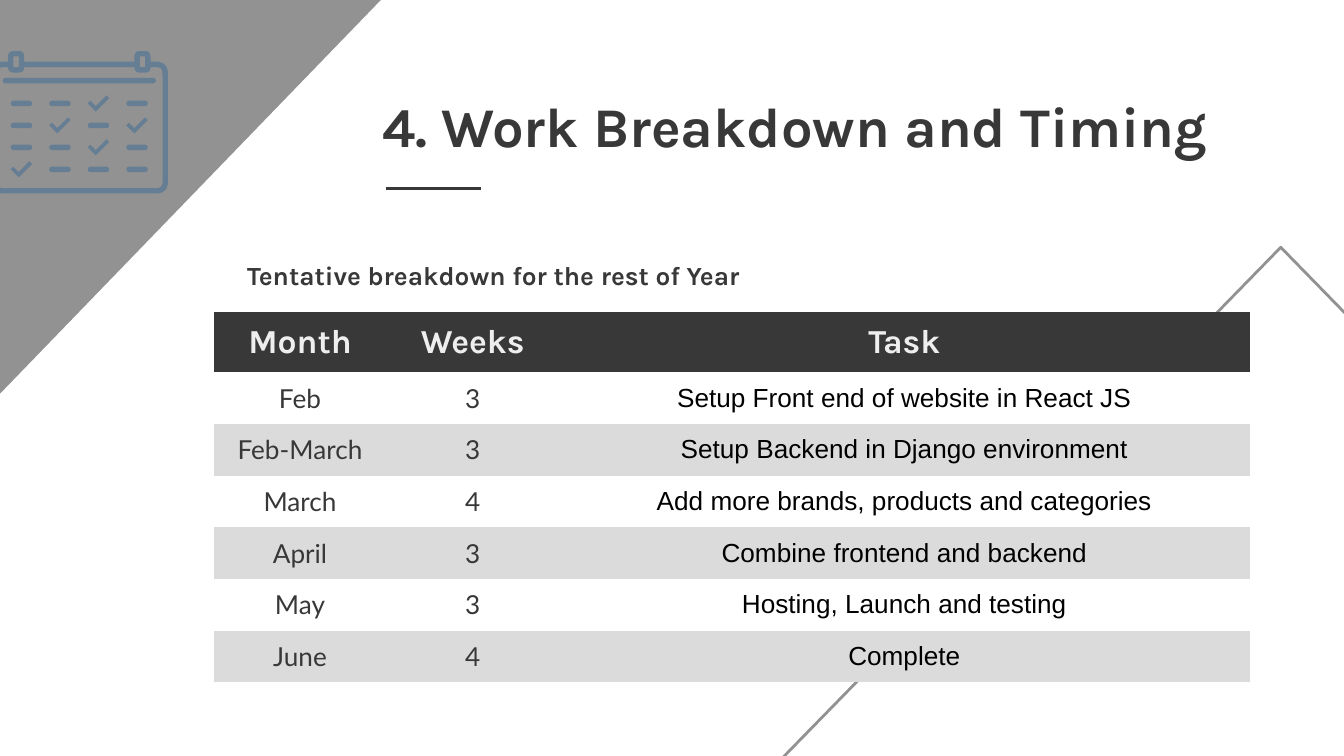
from dataclasses import dataclass
from pptx import Presentation
from pptx.dml.color import RGBColor
from pptx.enum.shapes import MSO_CONNECTOR, MSO_SHAPE
from pptx.enum.text import MSO_ANCHOR, PP_ALIGN
from pptx.oxml.ns import qn
from pptx.util import Inches, Pt
from lxml.etree import SubElement


@dataclass(frozen=True)
class Theme:
    dark: str = "383838"
    gray: str = "929292"
    band: str = "DBDBDB"
    white: str = "FFFFFF"
    light: str = "EEEEEE"
    black: str = "000000"
    icon: str = "657E93"
    heading: str = "Karla"
    body: str = "Lato"
    task: str = "Arial"
    title_size: int = 30
    header_size: int = 18
    body_size: int = 14
    rule: float = 1.5
    no_table_style: str = "{2D5ABB26-0587-4C30-8999-92F81FD0307C}"


T = Theme()
HEADER = ("Month", "Weeks", "Task")
SCHEDULE = (
    ("Feb", "3", "Setup Front end of website in React JS"),
    ("Feb-March", "3", "Setup Backend in Django environment"),
    ("March", "4", "Add more brands, products and categories"),
    ("April", "3", "Combine frontend and backend"),
    ("May", "3", "Hosting, Launch and testing"),
    ("June", "4", "Complete"),
)


def paint(sp, fill=None, line=None, width=T.rule):
    sp.shadow.inherit = False
    if fill:
        sp.fill.solid()
        sp.fill.fore_color.rgb = RGBColor.from_string(fill)
    else:
        sp.fill.background()
    if line:
        sp.line.color.rgb = RGBColor.from_string(line)
        sp.line.width = Pt(width)
    else:
        sp.line.fill.background()


def add_preset(shapes, kind, x, y, w, h, **style):
    sp = shapes.add_shape(kind, Inches(x), Inches(y), Inches(w), Inches(h))
    paint(sp, **style)
    return sp


def write_text(tf, text, size=T.body_size, font=T.heading, color=T.dark,
               bold=False, align=PP_ALIGN.LEFT, indent=0):
    p = tf.paragraphs[0]
    p.alignment = align
    if indent:
        p._p.get_or_add_pPr().set("marL", str(Inches(indent)))
    r = p.add_run()
    r.text = text
    r.font.size = Pt(size)
    r.font.name = font
    r.font.bold = bold
    r.font.color.rgb = RGBColor.from_string(color)


def add_text(shapes, x, y, w, h, text, **style):
    tf = shapes.add_textbox(Inches(x), Inches(y), Inches(w), Inches(h)).text_frame
    tf.word_wrap = True
    tf.margin_left = tf.margin_right = tf.margin_top = tf.margin_bottom = Inches(0.1)
    write_text(tf, text, **style)


def add_backdrop(shapes):
    corner = add_preset(shapes, MSO_SHAPE.RIGHT_TRIANGLE, -0.31, -0.12, 3.26, 3.37, fill=T.gray)
    corner.rotation = 180
    corner._element.spPr.find(qn("a:xfrm")).set("flipH", "1")
    add_preset(shapes, MSO_SHAPE.ISOSCELES_TRIANGLE, 5.48, 1.84, 8.1, 4.15, line=T.gray)


def add_title(shapes, x, y, w, h, text):
    add_text(shapes, x, y, w, h, text, size=T.title_size, bold=True, align=PP_ALIGN.CENTER)
    left, top = x + 0.98, y + 0.82
    rule = shapes.add_connector(MSO_CONNECTOR.STRAIGHT, Inches(left), Inches(top),
                                Inches(left + 0.71), Inches(top))
    rule.line.color.rgb = RGBColor.from_string(T.dark)
    rule.line.width = Pt(T.rule)
    SubElement(rule._element.spPr, qn("a:effectLst"))


def fill_cell(cell, text, fill, **style):
    cell.fill.solid()
    cell.fill.fore_color.rgb = RGBColor.from_string(fill)
    cell.vertical_anchor = MSO_ANCHOR.MIDDLE
    cell.margin_left = cell.margin_right = Inches(0.1)
    cell.margin_top = cell.margin_bottom = 0
    write_text(cell.text_frame, text, align=PP_ALIGN.CENTER, **style)


def add_schedule(shapes, x, y, w, h, header_h=0.45, cols=6):
    rows = (HEADER, *SCHEDULE)
    table = shapes.add_table(len(rows), cols, Inches(x), Inches(y), Inches(w), Inches(h)).table
    table._tbl.tblPr.find(qn("a:tableStyleId")).text = T.no_table_style
    for column in table.columns:
        column.width = Inches(w / cols)
    for i, texts in enumerate(rows):
        table.rows[i].height = Inches(header_h if i == 0 else (h - header_h) / len(SCHEDULE))
        table.cell(i, 2).merge(table.cell(i, cols - 1))
        for j, text in enumerate(texts):
            if i == 0:
                fill_cell(table.cell(i, j), text, T.dark, size=T.header_size,
                          color=T.light, bold=True)
            else:
                font, color = (T.task, T.black) if j == 2 else (T.body, T.dark)
                fill_cell(table.cell(i, j), text, T.white if i % 2 else T.band,
                          font=font, color=color)


def add_check(shapes, x, y):
    outline = ((0, 0.06), (0.02, 0.04), (0.06, 0.08), (0.14, 0), (0.16, 0.02), (0.06, 0.12))
    points = [(Inches(x + dx), Inches(y + dy)) for dx, dy in outline]
    fb = shapes.build_freeform(*points[0])
    fb.add_line_segments(points[1:], close=True)
    paint(fb.convert_to_shape(), fill=T.icon)


def add_calendar(shapes, x, y, w, h, stroke=0.04):
    icon = shapes.add_group_shape().shapes
    half = stroke / 2

    def add_round(dx, dy, bw, bh, radius, **style):
        sp = add_preset(icon, MSO_SHAPE.ROUNDED_RECTANGLE, x + dx, y + dy, bw, bh, **style)
        sp.adjustments[0] = radius

    outline = dict(line=T.icon, width=stroke * 72)
    add_round(half, 0.1, w - stroke, h - 0.1 - half, 0.06, **outline)
    for ring_x in (0.14, 1.08):
        add_round(ring_x, half, 0.08, 0.12, 0.2, fill=T.gray, **outline)
    add_round(0.08, 0.2, 1.14, stroke, 0.5, fill=T.icon)

    checks = {(0, 2), (1, 1), (1, 3), (2, 2), (3, 0)}
    for row in range(4):
        for col in range(4):
            dx, dy = 0.14 + col * 0.86 / 3, 0.37 + row * 0.49 / 3
            if (row, col) in checks:
                add_check(icon, x + dx, y + dy - stroke)
            else:
                add_round(dx, dy, 0.16, stroke, 0.5, fill=T.icon)


def main():
    prs = Presentation()
    prs.slide_width = Inches(10)
    prs.slide_height = prs.slide_width * 9 // 16
    shapes = prs.slides.add_slide(prs.slide_layouts[6]).shapes
    add_backdrop(shapes)
    add_title(shapes, 1.89, 0.58, 8.05, 0.58, "4. Work Breakdown and Timing")
    add_schedule(shapes, 1.59, 2.32, 7.71, 2.76)
    add_text(shapes, 1.24, 1.83, 5.68, 0.58, "Tentative breakdown for the rest of Year",
             bold=True, indent=0.5)
    add_calendar(shapes, -0.06, 0.38, 1.31, 1.06)
    prs.save("out.pptx")


if __name__ == "__main__":
    main()
